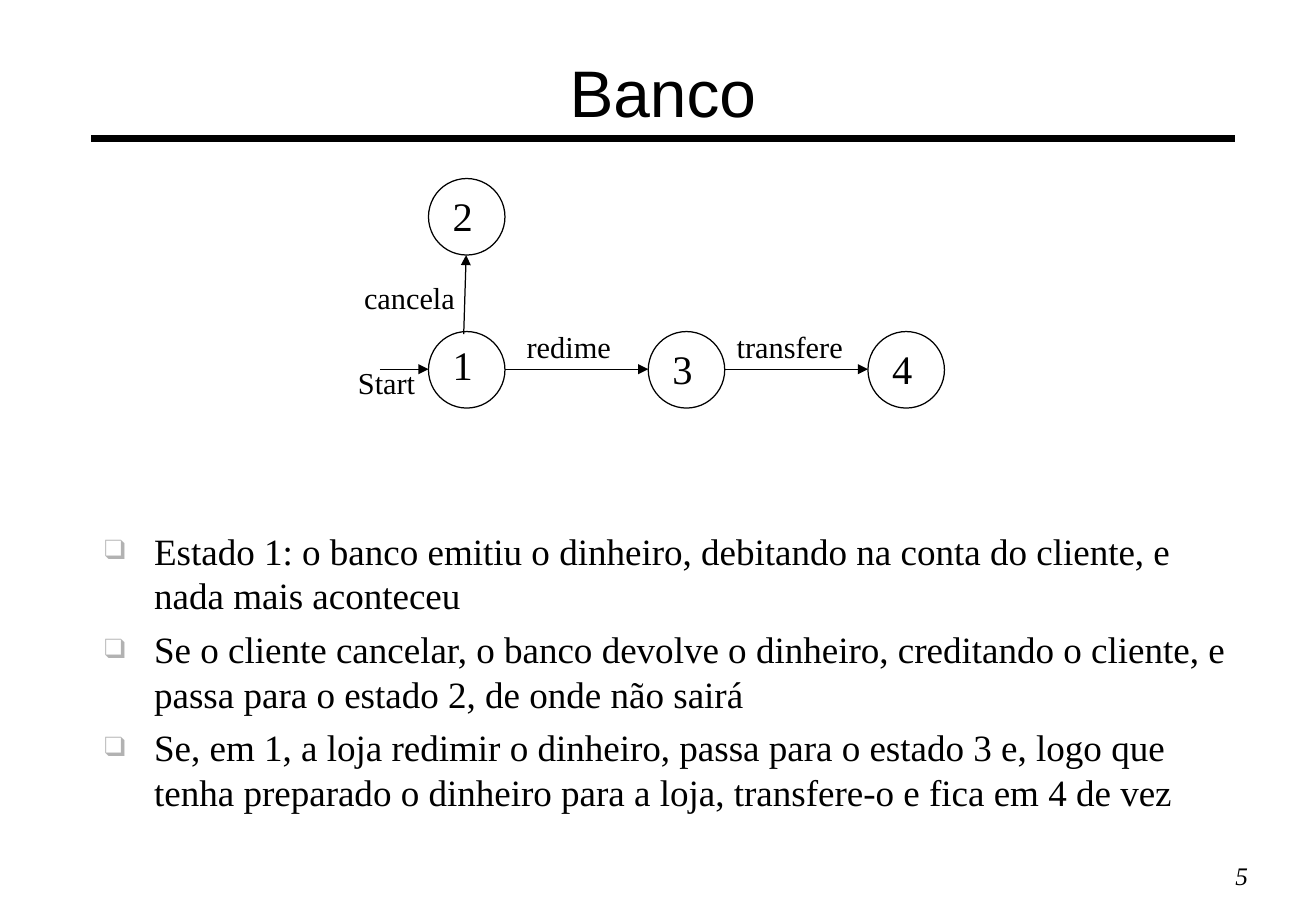
from pptx import Presentation
from pptx.dml.color import RGBColor
from pptx.enum.shapes import MSO_CONNECTOR, MSO_SHAPE
from pptx.enum.text import MSO_ANCHOR, MSO_AUTO_SIZE, PP_ALIGN
from pptx.oxml import parse_xml
from pptx.oxml.ns import nsdecls
from pptx.util import Emu, Pt

BLACK, GREY = "000000", "B2B2B2"
SERIF, SANS = "Times New Roman", "Arial"

# State diagram: number -> left and top of its circle
DIAMETER = 63
COLUMN_1, COLUMN_STEP, ROW = 353, 181, 273
STATES = {
    "1": (COLUMN_1, ROW),
    "2": (COLUMN_1, 147),
    "3": (COLUMN_1 + COLUMN_STEP, ROW),
    "4": (COLUMN_1 + 2 * COLUMN_STEP, ROW),
}
LABELS = [
    ("Start", 285, 295, 67),
    ("cancela", 290, 225, 95),
    ("redime", 424, 265, 90),
    ("transfere", 597, 265, 108),
]
NOTES = [
    "Estado 1: o banco emitiu o dinheiro, debitando na conta do cliente, e nada mais aconteceu",
    "Se o cliente cancelar, o banco devolve o dinheiro, creditando o cliente, e passa para o "
    "estado 2, de onde não sairá",
    "Se, em 1, a loja redimir o dinheiro, passa para o estado 3 e, logo que tenha preparado o "
    "dinheiro para a loja, transfere-o e fica em 4 de vez",
]


def px(n):
    """One px is a hundredth of an inch."""
    return Emu(n * 9144)


def color(value):
    return RGBColor.from_string(value)


def add_run(p, text, size, font=SERIF, italic=False):
    r = p.add_run()
    r.text = text
    r.font.size = Pt(size)
    r.font.name = font
    r.font.italic = italic
    r.font.color.rgb = color(BLACK)


def add_text_frame(s, left, top, width, height, wrap=True, inset=10):
    tf = s.shapes.add_textbox(px(left), px(top), px(width), px(height)).text_frame
    tf.word_wrap = wrap
    tf.margin_left = tf.margin_right = px(inset)
    return tf


def add_label(s, text, left, top, width, height=40, size=18):
    tf = add_text_frame(s, left, top, width, height, wrap=False)
    add_run(tf.paragraphs[0], text, size)


def add_state(s, number, left, top):
    sp = s.shapes.add_shape(MSO_SHAPE.OVAL, px(left), px(top), px(DIAMETER), px(DIAMETER))
    sp.shadow.inherit = False
    sp.fill.background()
    sp.line.color.rgb = color(BLACK)
    sp.line.width = Pt(0.75)
    # The start state's number sits slightly higher
    drop = 2 if number == "1" else 5
    add_label(s, number, left + 10, top + drop, 37, 50, 24)


def add_line(s, x1, y1, x2, y2, weight=0.75, arrow=True):
    line = s.shapes.add_connector(MSO_CONNECTOR.STRAIGHT, px(x1), px(y1), px(x2), px(y2))
    line.line.color.rgb = color(BLACK)
    line.line.width = Pt(weight)
    if arrow:
        line.line._get_or_add_ln().append(
            parse_xml(f'<a:tailEnd {nsdecls("a")} type="triangle"/>'))
    line._element.spPr.append(parse_xml(f'<a:effectLst {nsdecls("a")}/>'))


def add_bullet(p):
    pPr = p._p.get_or_add_pPr()
    pPr.set("marL", str(px(41)))
    pPr.set("indent", str(px(-41)))
    for xml in (
        f'<a:buClr {nsdecls("a")}><a:srgbClr val="{GREY}"/></a:buClr>',
        f'<a:buSzPct {nsdecls("a")} val="75000"/>',
        f'<a:buFont {nsdecls("a")} typeface="{SERIF}"/>',
        f'<a:buChar {nsdecls("a")} char="❑"/>',
    ):
        pPr.append(parse_xml(xml))


def add_title(s, text):
    title = s.shapes.title
    title.left, title.top, title.width, title.height = px(75), px(12), px(942), px(126)
    tf = title.text_frame
    tf.auto_size = MSO_AUTO_SIZE.NONE
    tf.vertical_anchor = MSO_ANCHOR.MIDDLE
    p = tf.paragraphs[0]
    p.alignment = PP_ALIGN.CENTER
    add_run(p, text, 39, SANS)
    add_line(s, 75, 114, 1017, 114, 3.75, arrow=False)


def add_diagram(s):
    for number, (left, top) in STATES.items():
        add_state(s, number, left, top)
    for label in LABELS:
        add_label(s, *label)
    # Transitions along the row, then the entry and the way up to state 2
    axis = ROW + 31
    for source, target in ("13", "34"):
        add_line(s, STATES[source][0] + DIAMETER, axis, STATES[target][0], axis)
    add_line(s, COLUMN_1 - 40, axis, COLUMN_1, axis)
    add_line(s, 382, ROW + 2, 384, STATES["2"][1] + DIAMETER)


def add_notes_list(s, notes):
    tf = add_text_frame(s, 75, 430, 945, 253, inset=11)
    for i, note in enumerate(notes):
        p = tf.paragraphs[0] if i == 0 else tf.add_paragraph()
        p.space_before = Pt(5.5)
        add_bullet(p)
        add_run(p, note, 22)


def add_page_number(s, number):
    tf = add_text_frame(s, 813, 699, 226, 43, inset=11)
    tf.vertical_anchor = MSO_ANCHOR.MIDDLE
    p = tf.paragraphs[0]
    p.alignment = PP_ALIGN.RIGHT
    add_run(p, number, 15, italic=True)


def main():
    prs = Presentation()
    prs.slide_width, prs.slide_height = px(1084), px(750)
    s = prs.slides.add_slide(prs.slide_layouts[5])
    add_title(s, "Banco")
    add_diagram(s)
    add_notes_list(s, NOTES)
    add_page_number(s, "5")
    prs.save("out.pptx")


if __name__ == "__main__":
    main()
